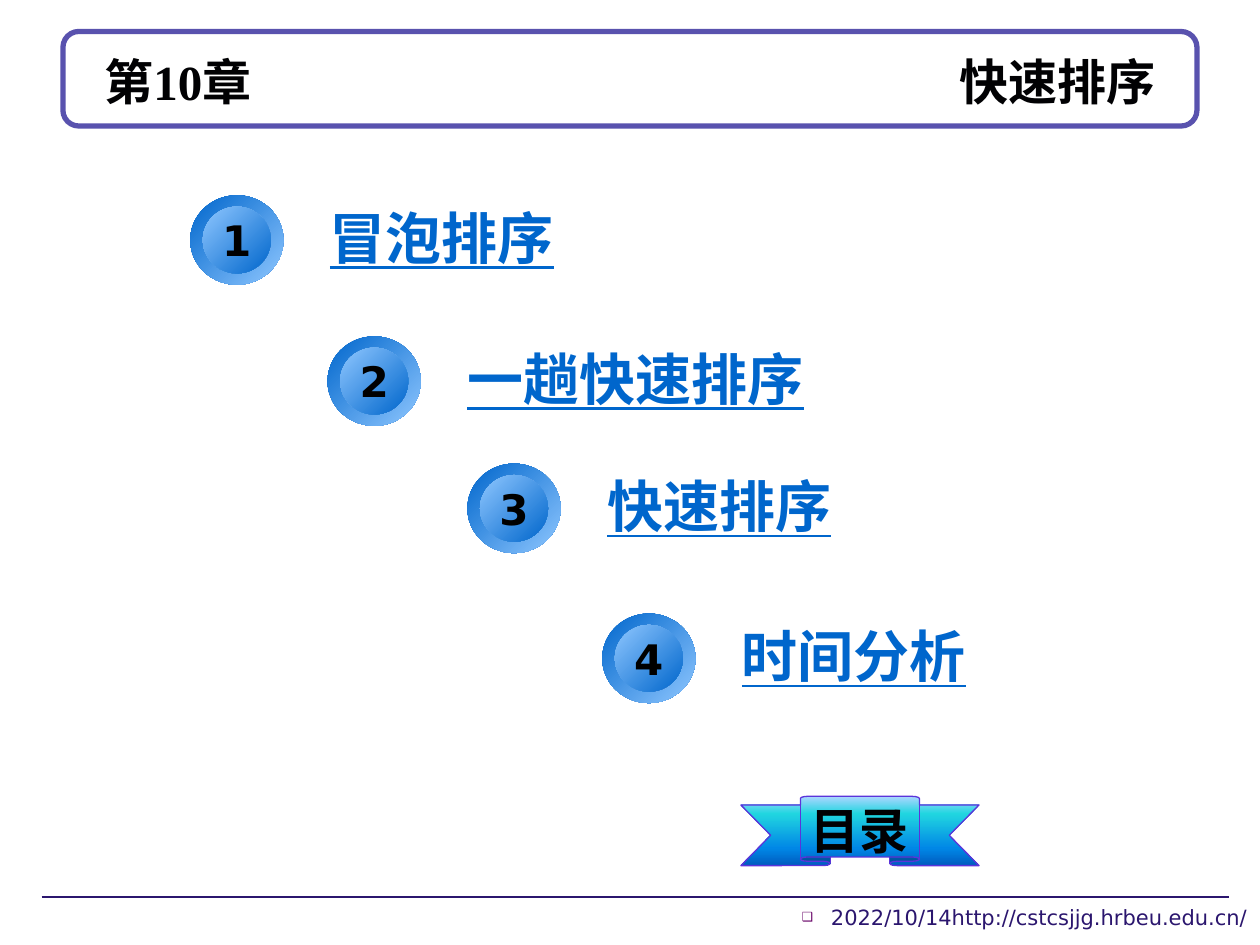
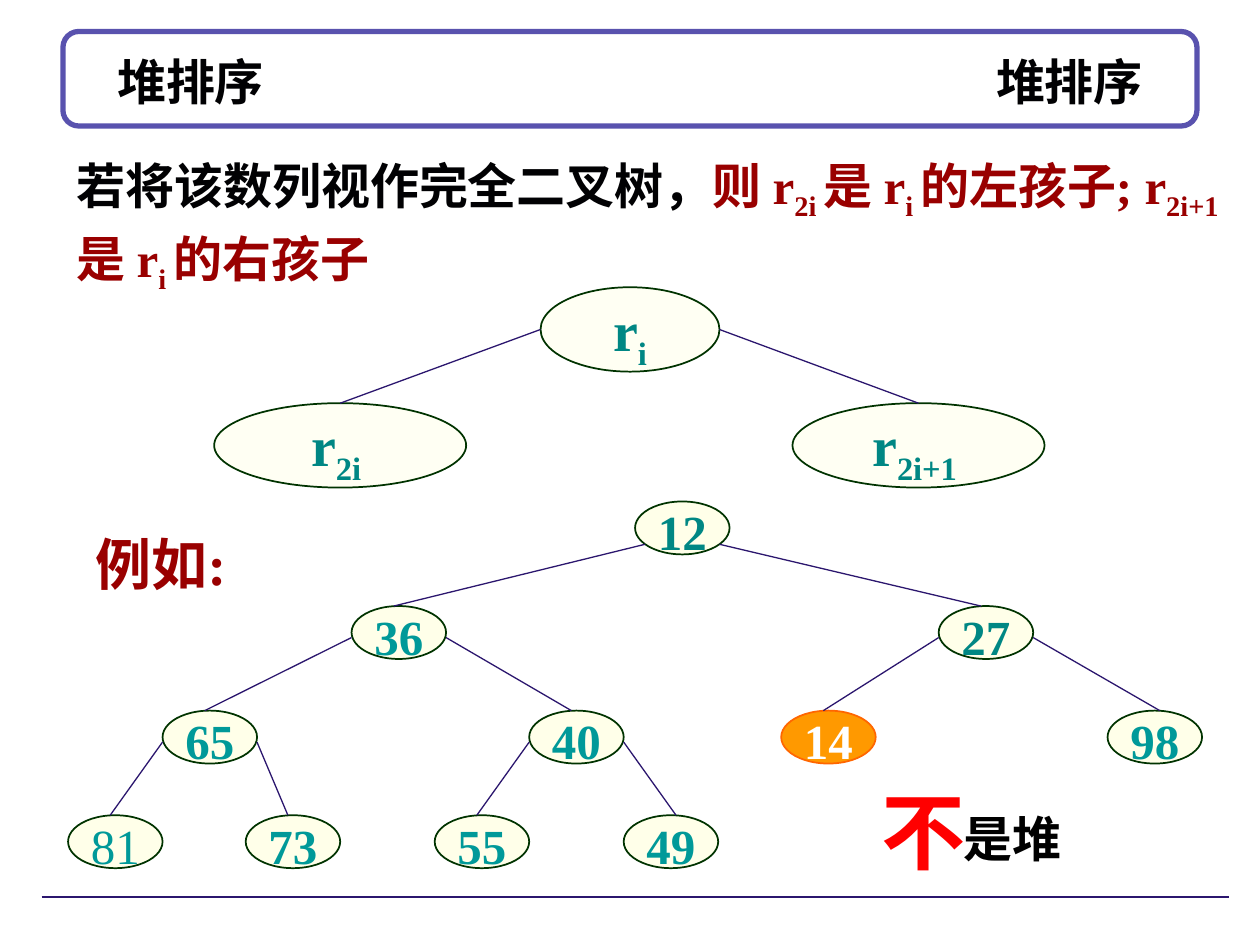
from dataclasses import dataclass

from lxml import etree
from pptx import Presentation
from pptx.dml.color import RGBColor
from pptx.enum.shapes import MSO_CONNECTOR, MSO_SHAPE
from pptx.enum.text import MSO_ANCHOR, MSO_AUTO_SIZE, PP_ALIGN
from pptx.oxml.ns import qn
from pptx.util import Inches, Pt

STRAIGHT = MSO_CONNECTOR.STRAIGHT
OVAL = MSO_SHAPE.OVAL
RIBBON = MSO_SHAPE.UP_RIBBON
ROUNDED = MSO_SHAPE.ROUNDED_RECTANGLE
TOP, MIDDLE = MSO_ANCHOR.TOP, MSO_ANCHOR.MIDDLE
LEFT, CENTER, RIGHT = PP_ALIGN.LEFT, PP_ALIGN.CENTER, PP_ALIGN.RIGHT


@dataclass(frozen=True)
class Theme:
    serif: str = "Times New Roman"
    sans: str = "DejaVu Sans"
    label: str = "Cabin"
    chinese: str = "Noto Sans CJK SC"
    ink: str = "010103"
    black: str = "000000"
    white: str = "FFFFFF"
    frame: str = "5952AE"
    rule: str = "2B166E"
    bullet: str = "660066"
    link: str = "0066CC"
    sky: str = "8FC7FF"
    ribbon_line: str = "5B34DA"
    cream: str = "FFFFE9"
    node_line: str = "003300"
    teal: str = "009999"
    deep_teal: str = "008784"
    orange: str = "FF9900"
    orange_line: str = "FF6600"
    maroon: str = "990000"
    red: str = "FF0000"
    small: int = 12
    number: int = 24
    body: int = 28
    large: int = 32
    huge: int = 48


THEME = Theme()
SUBSCRIPT = {"baseline": -25}
RIBBON_STOPS = [(0, "ADD6FF"), (25, "21D6E0"), (75, "0087E6"), (100, "005CBF")]

CHAPTER = {"left": "第10章", "right": "快速排序", "inset": 0.33}
FOOTER = "2022/10/14http://cstcsjjg.hrbeu.edu.cn/"
TOPICS = [
    ("冒泡排序", 1.51, 1.55, 3.73),
    ("一趟快速排序", 2.6, 2.67, 3.88),
    ("快速排序", 3.71, 3.68, 3.05),
    ("时间分析", 4.78, 4.87, 3.01),
]
CONTENTS_LABEL = "目录"

HEAP = {"left": "堆排序", "right": "堆排序", "inset": 0.43}
MAROON = {"color": THEME.maroon}
MAROON_SUBSCRIPT = MAROON | SUBSCRIPT
DEFINITION = [
    "若将该数列视作完全二叉树，",
    ("则 r", MAROON), ("2i ", MAROON_SUBSCRIPT),
    ("是 r", MAROON), ("i ", MAROON_SUBSCRIPT),
    ("的左孩子; r", MAROON), ("2i+1 ", MAROON_SUBSCRIPT),
    ("是 r", MAROON), ("i ", MAROON_SUBSCRIPT),
    ("的右孩子", MAROON),
]
FAMILY = [("i", 4.29, 2.28, 1.42), ("2i ", 1.7, 3.2, 2), ("2i+1 ", 6.29, 3.2, 2)]
FAMILY_HEIGHT = 0.67

HEAP_NODES = [
    (12, 5.04), (36, 2.79), (27, 7.45), (65, 1.29), (40, 4.2), (14, 6.2),
    (98, 8.79), (81, 0.54), (73, 1.95), (55, 3.45), (49, 4.95),
]
NODE_WIDTH, NODE_HEIGHT = 0.75, 0.42
TREE_TOP, LEVEL_STEP = 3.98, 0.83
DEEP_VALUES = {12, 27}
PLAIN_VALUES = {81}
WRONG_VALUE = 14
OUTER_VALUES = {98, 49}


def rgb(color):
    return RGBColor.from_string(color)


def write(shape, runs, font=THEME.serif, size=THEME.body, color=THEME.ink, bold=True,
          underline=False, align=LEFT, anchor=TOP, wrap=False, spacing=None):
    frame = shape.text_frame
    frame.auto_size = MSO_AUTO_SIZE.NONE
    frame.word_wrap = wrap
    frame.vertical_anchor = anchor
    paragraph = frame.paragraphs[0]
    paragraph.alignment = align
    paragraph.line_spacing = spacing
    for item in [runs] if isinstance(runs, str) else runs:
        text, changes = (item, {}) if isinstance(item, str) else item
        run = paragraph.add_run()
        run.text = text
        run.font.name = font
        run.font.size = Pt(size)
        run.font.bold = bold
        run.font.underline = underline
        run.font.color.rgb = rgb(changes.get("color", color))
        properties = run._r.get_or_add_rPr()
        etree.SubElement(properties, qn("a:ea")).set("typeface", THEME.chinese)
        if "baseline" in changes:
            properties.set("baseline", str(changes["baseline"] * 1000))
    return paragraph


def add_text(slide, runs, left, top, width, height, **text_format):
    box = slide.shapes.add_textbox(Inches(left), Inches(top), Inches(width), Inches(height))
    return write(box, runs, **text_format)


def add_shape(slide, kind, left, top, width, height, fill=None, line=None, line_width=1):
    shape = slide.shapes.add_shape(
        kind, Inches(left), Inches(top), Inches(width), Inches(height))
    shape.shadow.inherit = False
    if fill:
        shape.fill.solid()
        shape.fill.fore_color.rgb = rgb(fill)
    if line:
        shape.line.color.rgb = rgb(line)
        shape.line.width = Pt(line_width)
    else:
        shape.line.fill.background()
    return shape


def set_gradient(shape, stops, angle):
    shape.fill.gradient()
    shape.fill.gradient_angle = 360 - angle
    stop_list = shape.element.spPr.find(".//" + qn("a:gsLst"))
    for stop in list(stop_list):
        stop_list.remove(stop)
    for position, color in stops:
        stop = etree.SubElement(stop_list, qn("a:gs"), pos=str(position * 1000))
        etree.SubElement(stop, qn("a:srgbClr"), val=color)


def set_opacity(shape, percent):
    color = shape.element.spPr.find(qn("a:solidFill")).find(qn("a:srgbClr"))
    etree.SubElement(color, qn("a:alpha"), val=str(percent * 1000))


def add_line(slide, start_x, start_y, end_x, end_y):
    line = slide.shapes.add_connector(
        STRAIGHT, Inches(start_x), Inches(start_y), Inches(end_x), Inches(end_y))
    line.line.color.rgb = rgb(THEME.rule)
    line.line.width = Pt(0.75)
    etree.SubElement(line.element.spPr, qn("a:effectLst"))


def add_base_slide(presentation, heading):
    slide = presentation.slides.add_slide(presentation.slide_layouts[5])
    frame = add_shape(slide, ROUNDED, 0.5, 0.25, 9, 0.75, THEME.white, THEME.frame, 3)
    title = slide.shapes.title
    frame.element.addnext(title.element)
    title.left, title.top = Inches(0.5), Inches(0.33)
    title.width, title.height = Inches(9), Inches(0.62)
    title.text_frame.margin_left = Inches(heading["inset"])
    title.text_frame.margin_right = 0
    properties = title.text_frame.paragraphs[0]._p.get_or_add_pPr()
    tabs = etree.SubElement(properties, qn("a:tabLst"))
    tab_position = Inches(9 - 2 * heading["inset"])
    etree.SubElement(tabs, qn("a:tab"), pos=str(tab_position), algn="r")
    write(title, heading["left"] + "\t" + heading["right"], anchor=MIDDLE, wrap=True)
    add_line(slide, 0.33, 7.12, 9.75, 7.12)
    return slide


def add_footer(slide):
    paragraph = add_text(slide, FOOTER, 6.04, 7.13, 3.96, 0.37, font=THEME.sans,
                         size=THEME.small, color=THEME.rule, bold=False,
                         align=RIGHT, wrap=True)
    properties = paragraph._p.get_or_add_pPr()
    properties.set("marL", str(Inches(0.23)))
    properties.set("indent", str(-Inches(0.23)))
    bullet_color = etree.SubElement(properties, qn("a:buClr"))
    etree.SubElement(bullet_color, qn("a:srgbClr"), val=THEME.bullet)
    etree.SubElement(properties, qn("a:buSzPct"), val="60000")
    etree.SubElement(properties, qn("a:buFont"), typeface=THEME.sans)
    etree.SubElement(properties, qn("a:buChar"), char="❑")


def add_topic(slide, number, name, left, top, width):
    ring = add_shape(slide, OVAL, left, top, 0.74, 0.71)
    set_gradient(ring, [(0, THEME.link), (100, THEME.sky)], 45)
    button = add_shape(slide, OVAL, left + 0.1, top + 0.09, 0.54, 0.53)
    set_gradient(button, [(0, THEME.sky), (100, THEME.link)], 45)
    write(button, str(number), font=THEME.sans, size=THEME.number, color=THEME.black,
          align=CENTER, anchor=MIDDLE)
    add_text(slide, name, left + 1.01, top + 0.04, width, 0.58, size=THEME.large,
             color=THEME.link, underline=True, anchor=MIDDLE)


def build_contents(presentation):
    slide = add_base_slide(presentation, CHAPTER)
    add_footer(slide)
    for number, topic in enumerate(TOPICS, 1):
        add_topic(slide, number, *topic)
    ribbon = add_shape(slide, RIBBON, 5.88, 6.32, 1.89, 0.55,
                       line=THEME.ribbon_line, line_width=0.75)
    ribbon.adjustments[0], ribbon.adjustments[1] = 0.125, 0.5
    set_gradient(ribbon, RIBBON_STOPS, 90)
    write(ribbon, CONTENTS_LABEL, font=THEME.label, align=CENTER, anchor=MIDDLE, spacing=1.1)


def add_family(slide):
    for index, left, top, width in FAMILY:
        oval = add_shape(slide, OVAL, left, top, width, FAMILY_HEIGHT,
                         THEME.cream, THEME.node_line)
        set_opacity(oval, 50)
        write(oval, ["r", (index, SUBSCRIPT)], size=THEME.large, color=THEME.deep_teal,
              align=CENTER, anchor=MIDDLE, spacing=1.1)
    _, parent_left, parent_top, parent_width = FAMILY[0]
    sides = [parent_left, parent_left + parent_width]
    for side, (_, left, top, width) in zip(sides, FAMILY[1:]):
        add_line(slide, side, parent_top + FAMILY_HEIGHT / 2, left + width / 2, top)


def node_top(index):
    return TREE_TOP + LEVEL_STEP * ((index + 1).bit_length() - 1)


def add_heap(slide):
    for index, (value, left) in enumerate(HEAP_NODES):
        wrong = value == WRONG_VALUE
        fill = THEME.orange if wrong else THEME.cream
        line = THEME.orange_line if wrong else THEME.node_line
        color = THEME.deep_teal if value in DEEP_VALUES else THEME.teal
        oval = add_shape(slide, OVAL, left, node_top(index), NODE_WIDTH, NODE_HEIGHT, fill, line)
        write(oval, str(value), color=THEME.white if wrong else color,
              bold=value not in PLAIN_VALUES, align=CENTER, anchor=MIDDLE, spacing=1.1)
    for index, (value, left) in enumerate(HEAP_NODES[1:], 1):
        parent = (index - 1) // 2
        inset, drop = (0, 0.25) if parent else (0.08, 0.34)
        parent_left = HEAP_NODES[parent][1]
        is_left_child = index % 2
        start = parent_left + (inset if is_left_child else NODE_WIDTH - inset)
        shift = 0.04 if value in OUTER_VALUES else -0.04
        add_line(slide, start, node_top(parent) + drop,
                 left + NODE_WIDTH / 2 + shift, node_top(index))


def build_heap(presentation):
    slide = add_base_slide(presentation, HEAP)
    add_family(slide)
    add_heap(slide)
    add_text(slide, "例如:", 0.66, 4.1, 1.25, 0.64, size=THEME.large,
             color=THEME.maroon, spacing=1.1)
    add_text(slide, "是堆", 7.55, 6.32, 0.99, 0.56, font=THEME.chinese,
             color=THEME.black, spacing=1.1)
    add_text(slide, "不", 6.9, 6.06, 0.88, 0.92, size=THEME.huge,
             color=THEME.red, spacing=1.1)
    add_text(slide, DEFINITION, 0.51, 1.13, 9.5, 1.1, wrap=True, spacing=1.1)


def main():
    presentation = Presentation()
    presentation.slide_width, presentation.slide_height = Inches(10), Inches(7.5)
    build_contents(presentation)
    build_heap(presentation)
    presentation.save("out.pptx")


if __name__ == "__main__":
    main()
